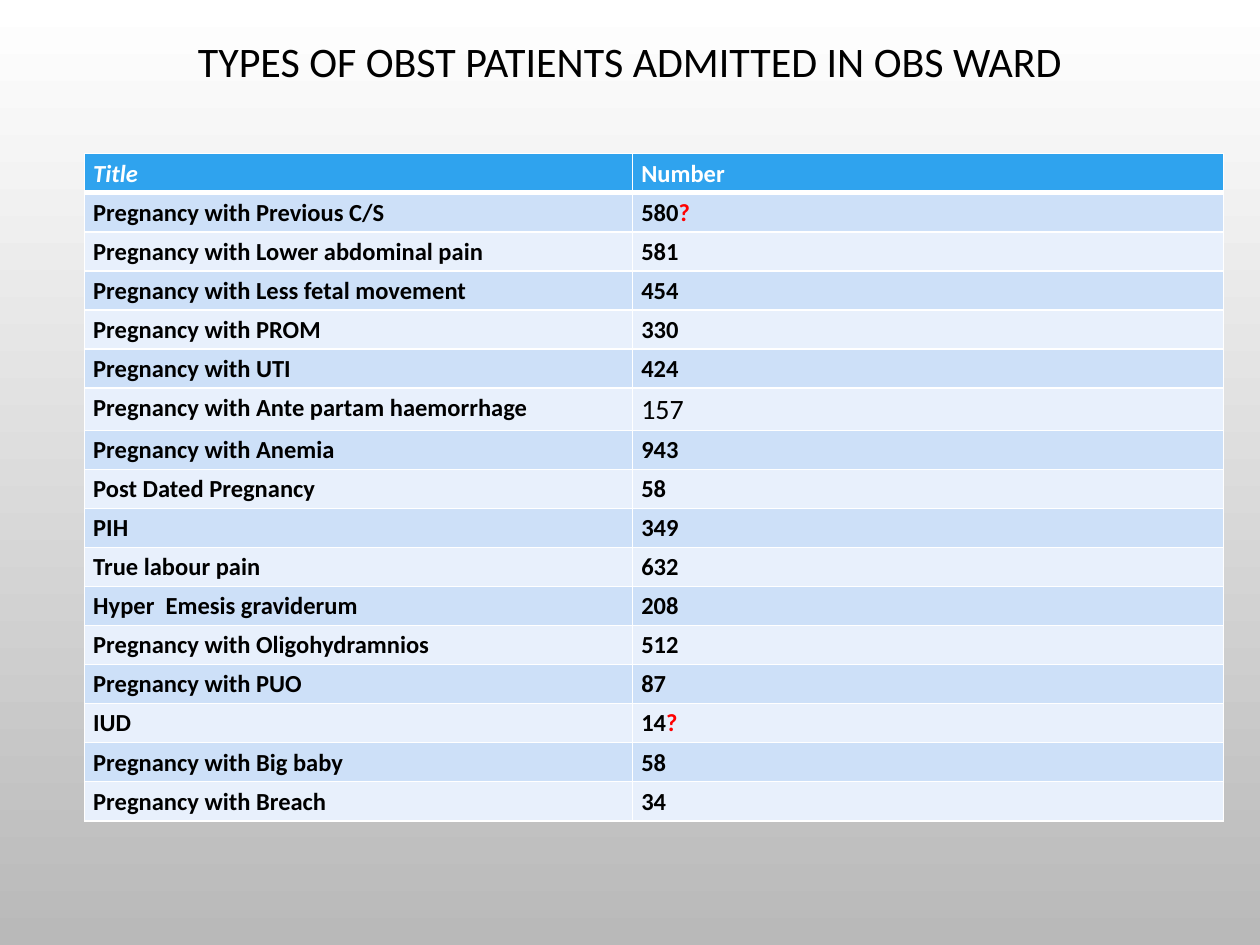
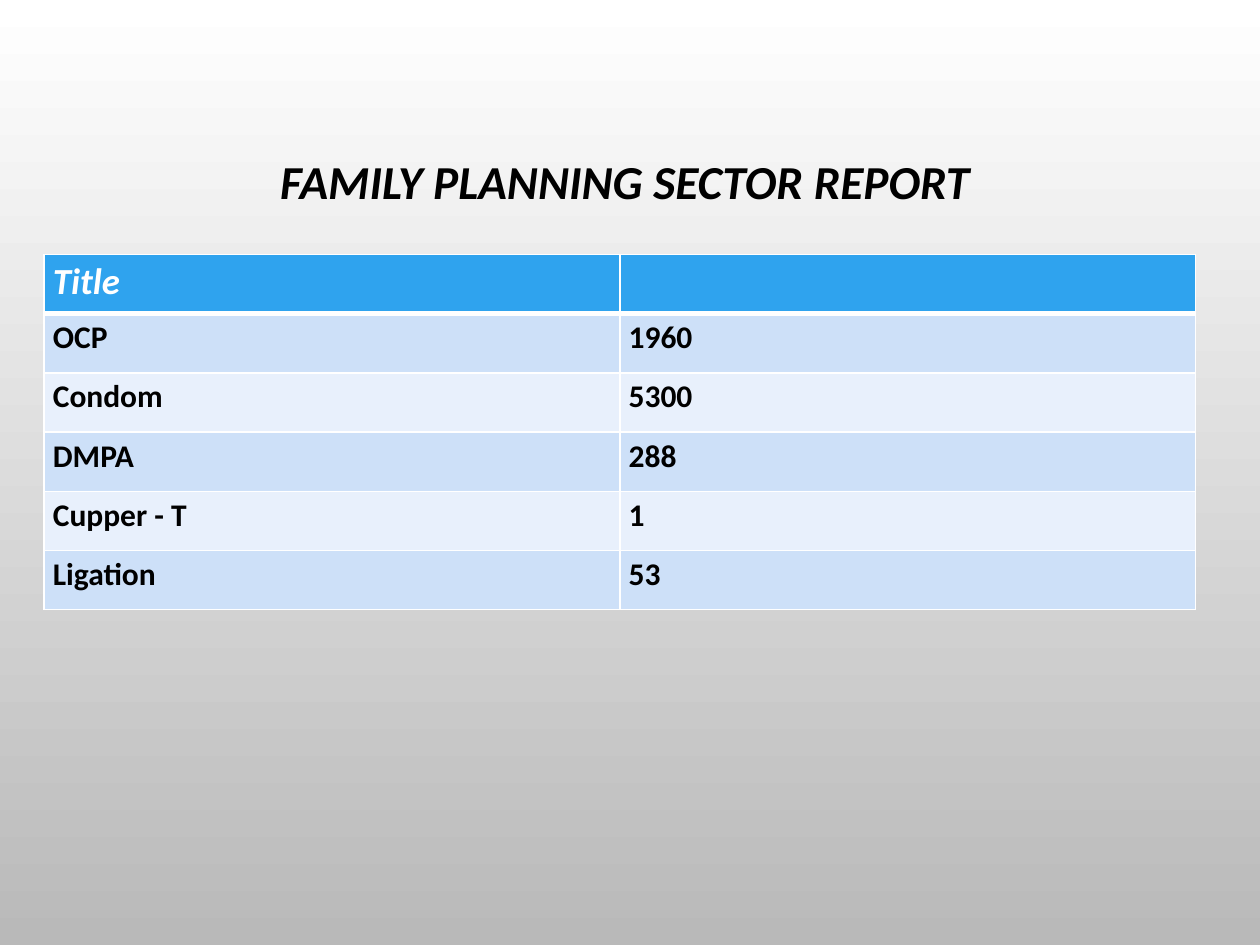
from dataclasses import dataclass

from lxml import etree
from pptx import Presentation
from pptx import util as u
from pptx.dml.color import RGBColor
from pptx.enum import text
from pptx.oxml import ns


@dataclass(frozen=True)
class Theme:
    font: str = "Calibri"
    black: str = "000000"
    white: str = "FFFFFF"
    query: str = "FF0000"
    header: str = "2FA3EE"
    bands: tuple = ("CDE0F8", "E8F0FC")
    background: tuple = ("FFFFFF", "B9B9B9")
    thin: int = 1
    thick: int = 3


theme = Theme()


def add_run(paragraph, words, size, color, bold=False, italic=False):
    run = paragraph.add_run()
    run.text = words
    run.font.name = theme.font
    run.font.size = u.Pt(size)
    run.font.bold = bold
    run.font.italic = italic
    run.font.color.rgb = RGBColor.from_string(color)


def add_border(cell, side, width):
    properties = cell._tc.get_or_add_tcPr()
    line = etree.SubElement(properties, ns.qn("a:ln" + side), w=str(u.Pt(width)))
    fill = etree.SubElement(line, ns.qn("a:solidFill"))
    etree.SubElement(fill, ns.qn("a:srgbClr"), val=theme.white)


# Slide contents: a trailing "?" marks a doubtful figure
ward_rows = [
    ("Title", "Number"),
    ("Pregnancy with Previous C/S", "580?"),
    ("Pregnancy with Lower abdominal pain", "581"),
    ("Pregnancy with Less fetal movement", "454"),
    ("Pregnancy with PROM", "330"),
    ("Pregnancy with UTI", "424"),
    ("Pregnancy with Ante partam haemorrhage", "157"),
    ("Pregnancy with Anemia", "943"),
    ("Post Dated Pregnancy", "58"),
    ("PIH", "349"),
    ("True labour pain", "632"),
    ("Hyper  Emesis graviderum", "208"),
    ("Pregnancy with Oligohydramnios", "512"),
    ("Pregnancy with PUO", "87"),
    ("IUD", "14?"),
    ("Pregnancy with Big baby", "58"),
    ("Pregnancy with Breach", "34"),
]
planning_rows = [
    ("Title", ""),
    ("OCP", "1960"),
    ("Condom", "5300"),
    ("DMPA", "288"),
    ("Cupper - T", "1"),
    ("Ligation", "53"),
]
reports = [
    dict(title="TYPES OF OBST PATIENTS ADMITTED IN OBS WARD", title_size=24,
         title_strong=False, title_box=(0.75, 0.18, 8.5, 0.66),
         rows=ward_rows, origin=(0.67, 1.22), columns=(4.35, 4.69),
         row_height=0.31, header_size=14, body_size=14,
         plain_figures={"157": 16}),
    dict(title="FAMILY PLANNING SECTOR REPORT ", title_size=27,
         title_strong=True, title_box=(0.69, 1.09, 8.62, 0.75),
         rows=planning_rows, origin=(0.35, 2.02), columns=(4.57, 4.57),
         row_height=0.47, header_size=21, body_size=18,
         plain_figures={}),
]

presentation = Presentation()
presentation.slide_width = u.Inches(10)
presentation.slide_height = u.Inches(7.5)

for report in reports:
    slide = presentation.slides.add_slide(presentation.slide_layouts[6])

    # Background, white at the top to grey at the bottom
    background = slide.background.fill
    background.gradient()
    background.gradient_angle = 270
    for stop, color in zip(background.gradient_stops, theme.background):
        stop.color.rgb = RGBColor.from_string(color)

    # Title
    shape = slide.shapes.add_textbox(*map(u.Inches, report["title_box"]))
    frame = shape.text_frame
    frame.word_wrap = True
    frame.vertical_anchor = text.MSO_ANCHOR.MIDDLE
    paragraph = frame.paragraphs[0]
    paragraph.alignment = text.PP_ALIGN.CENTER
    paragraph.line_spacing = 0.9
    strong = report["title_strong"]
    add_run(paragraph, report["title"], report["title_size"], theme.black, strong, strong)

    # Table grid
    rows, columns = report["rows"], report["columns"]
    size = sum(columns), report["row_height"] * len(rows)
    table = slide.shapes.add_table(
        len(rows), len(columns), *map(u.Inches, report["origin"] + size)).table
    for column, width in zip(table.columns, columns):
        column.width = u.Inches(width)

    # Table cells
    for row_index, row in enumerate(rows):
        table.rows[row_index].height = u.Inches(report["row_height"])
        is_header = row_index == 0
        for column_index, words in enumerate(row):
            cell = table.cell(row_index, column_index)
            cell.margin_left = cell.margin_right = u.Inches(0.07)
            cell.margin_top = u.Inches(0.04)
            cell.margin_bottom = u.Inches(0.03)
            add_border(cell, "L", theme.thin)
            add_border(cell, "R", theme.thin)
            add_border(cell, "T", theme.thick if row_index == 1 else theme.thin)
            add_border(cell, "B", theme.thick if is_header else theme.thin)
            cell.fill.solid()
            band = theme.header if is_header else theme.bands[(row_index - 1) % 2]
            cell.fill.fore_color.rgb = RGBColor.from_string(band)

            paragraph = cell.text_frame.paragraphs[0]
            if is_header:
                if words:
                    add_run(paragraph, words, report["header_size"], theme.white,
                            bold=True, italic=column_index == 0)
                continue
            figure_size = report["plain_figures"].get(words, report["body_size"])
            add_run(paragraph, words.rstrip("?"), figure_size, theme.black,
                    bold=words not in report["plain_figures"])
            if words.endswith("?"):
                add_run(paragraph, "?", report["body_size"], theme.query, bold=True)

presentation.save("out.pptx")
